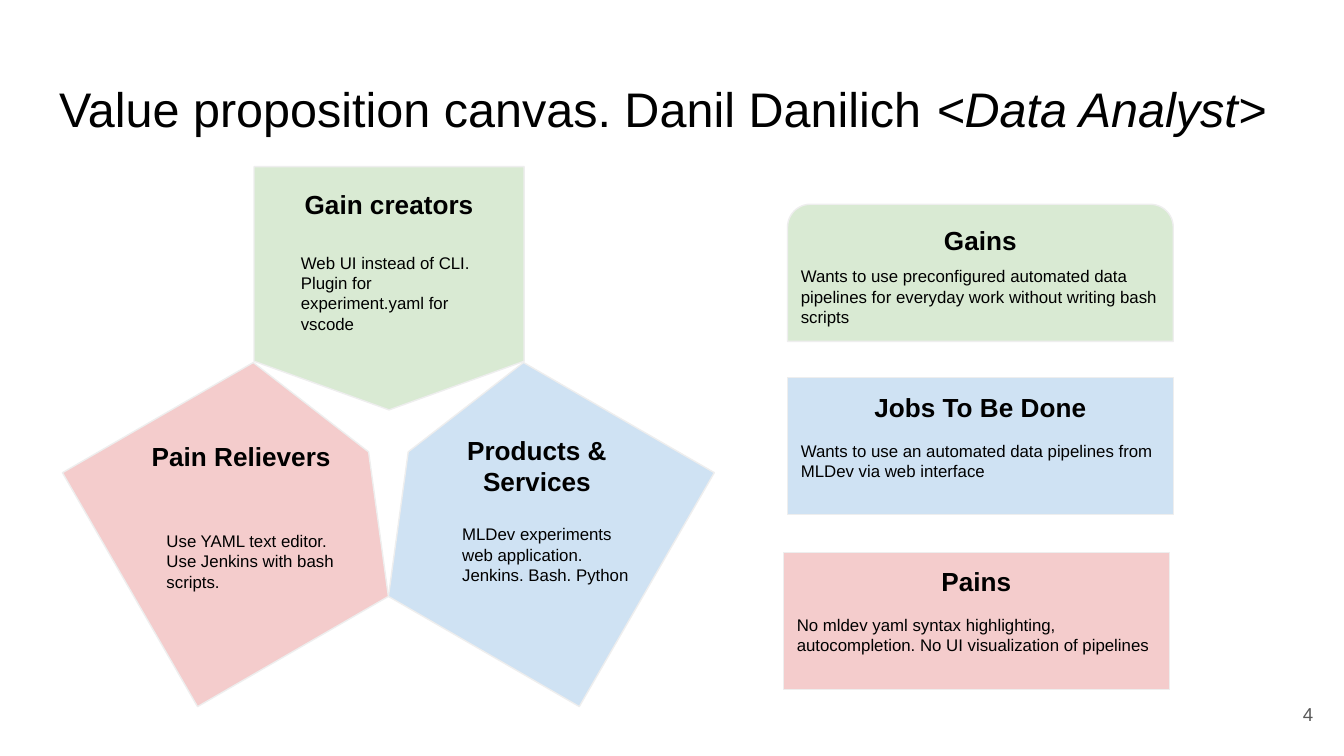
from dataclasses import dataclass

import pptx
import pptx.dml.color
import pptx.enum.shapes
import pptx.enum.text
import pptx.util

Inches = pptx.util.Inches
Align = pptx.enum.text.PP_ALIGN
Anchor = pptx.enum.text.MSO_ANCHOR
Preset = pptx.enum.shapes.MSO_SHAPE

COLORS = {
    "green": "D9EAD3",
    "blue": "CFE2F3",
    "red": "F4CCCC",
    "outline": "EEEEEE",
    "text": "000000",
    "number": "595959",
}


@dataclass
class Area:
    left: float
    top: float
    width: float
    height: float

    def lengths(self) -> list:
        return [Inches(v) for v in (self.left, self.top, self.width, self.height)]


@dataclass
class Petal:
    color: str
    area: Area
    rotation: int
    heading: str
    heading_area: Area
    body: str
    body_area: Area


@dataclass
class Card:
    preset: int
    color: str
    left: float
    top: float
    heading: str
    body: str
    body_top: float
    body_height: float = 0.66


PETALS = [
    Petal("green", Area(1.89, 1.24, 2.01, 1.81), 0,
          "Gain creators", Area(2.04, 1.3, 1.71, 0.44),
          "Web UI instead of CLI. Plugin for experiment.yaml for vscode",
          Area(2.14, 1.78, 1.51, 0.81)),
    Petal("blue", Area(2.92, 2.85, 2.01, 2.05), 120,
          "Products & Services", Area(3.14, 3.13, 1.71, 0.67),
          "MLDev experiments web application.\nJenkins. Bash. Python",
          Area(3.34, 3.8, 1.51, 0.66)),
    Petal("red", Area(0.85, 2.85, 2.01, 2.05), 240,
          "Pain Relievers", Area(0.94, 3.18, 1.71, 0.44),
          "Use YAML text editor.\nUse Jenkins with bash scripts.",
          Area(1.14, 3.85, 1.51, 0.66)),
]

CARDS = [
    Card(Preset.ROUND_2_SAME_RECTANGLE, "green", 5.86, 1.52, "Gains",
         "Wants to use preconfigured automated data pipelines for everyday work "
         "without writing bash scripts", 1.88),
    Card(Preset.FLOWCHART_PROCESS, "blue", 5.86, 2.81, "Jobs To Be Done",
         "Wants to use an automated data pipelines from MLDev via web interface", 3.18),
    Card(Preset.FLOWCHART_PROCESS, "red", 5.83, 4.11, "Pains",
         "No mldev yaml syntax highlighting, autocompletion. "
         "No UI visualization of pipelines", 4.47, 0.81),
]


def rgb(name: str) -> pptx.dml.color.RGBColor:
    return pptx.dml.color.RGBColor.from_string(COLORS[name])


def format_span(span, size: int, bold: bool = False, italic: bool = False,
                color: str = "text") -> None:
    span.font.name = "Arial"
    span.font.size = pptx.util.Pt(size)
    span.font.bold = bold
    span.font.italic = italic
    span.font.color.rgb = rgb(color)


def write(shape, text: str, size: int, bold: bool = False, align=Align.LEFT,
          anchor=Anchor.TOP, color: str = "text") -> None:
    frame = shape.text_frame
    frame.word_wrap = True
    frame.vertical_anchor = anchor
    frame.margin_left = frame.margin_right = Inches(0.1)
    frame.margin_top = frame.margin_bottom = Inches(0.1)
    para = frame.paragraphs[0]
    para.text = text
    para.alignment = align
    for span in para.runs:
        format_span(span, size, bold, color=color)


def add_text(page, area: Area, text: str, size: int, **style) -> None:
    write(page.shapes.add_textbox(*area.lengths()), text, size, **style)


def add_panel(page, preset: int, area: Area, color: str):
    panel = page.shapes.add_shape(preset, *area.lengths())
    panel.shadow.inherit = False
    panel.fill.solid()
    panel.fill.fore_color.rgb = rgb(color)
    panel.line.color.rgb = rgb("outline")
    panel.line.width = pptx.util.Pt(0.75)
    return panel


def add_petal(page, petal: Petal) -> None:
    panel = add_panel(page, Preset.FLOWCHART_OFFPAGE_CONNECTOR, petal.area, petal.color)
    panel.rotation = petal.rotation
    add_text(page, petal.body_area, petal.body, 9)
    add_text(page, petal.heading_area, petal.heading, 14, bold=True, align=Align.CENTER)


def add_card(page, card: Card) -> None:
    panel = add_panel(page, card.preset, Area(card.left, card.top, 2.87, 1.02), card.color)
    write(panel, card.heading, 14, bold=True, align=Align.CENTER)
    add_text(page, Area(card.left, card.body_top, 2.89, card.body_height), card.body, 9)


def add_title(page) -> None:
    title = page.shapes.title
    title.left, title.top, title.width, title.height = Area(0.34, 0.49, 9.32, 0.63).lengths()
    title.text_frame.auto_size = pptx.enum.text.MSO_AUTO_SIZE.NONE
    write(title, "Value proposition canvas. Danil Danilich ", 26)
    span = title.text_frame.paragraphs[0].add_run()
    span.text = "<Data Analyst>"
    format_span(span, 26, italic=True)


def main() -> None:
    deck = pptx.Presentation()
    deck.slide_width = Inches(10)
    deck.slide_height = deck.slide_width * 9 // 16
    page = deck.slides.add_slide(deck.slide_layouts.get_by_name("Title Only"))
    add_title(page)
    for petal in PETALS:
        add_petal(page, petal)
    for card in CARDS:
        add_card(page, card)
    add_text(page, Area(9.27, 5.1, 0.6, 0.43), "4", 10, align=Align.RIGHT,
             anchor=Anchor.MIDDLE, color="number")
    deck.save("out.pptx")


if __name__ == "__main__":
    main()
